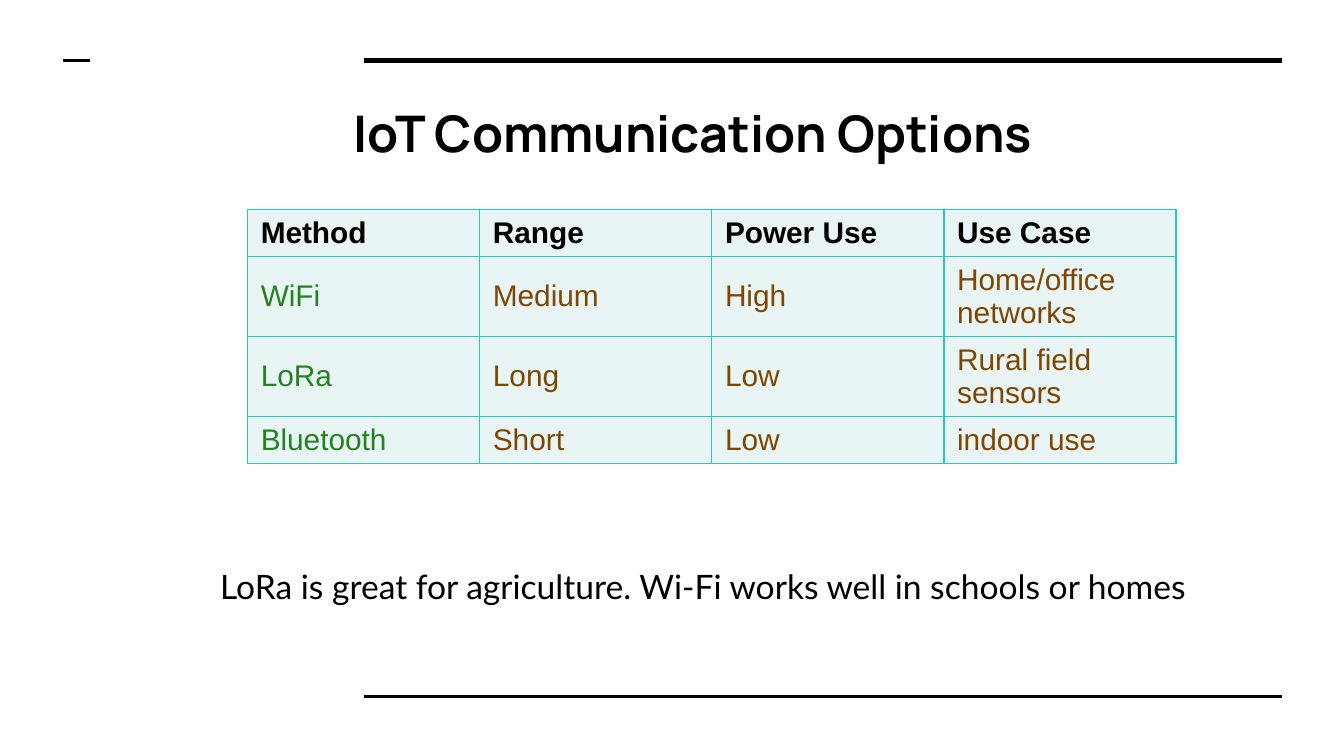
"""Build a slide comparing IoT communication options in a table."""
from lxml import etree
from pptx import Presentation, util as u
from pptx.dml.color import RGBColor
from pptx.enum import shapes, text
from pptx.oxml import ns

BLACK, GREEN, BROWN, TEAL, MINT = "000000", "258220", "7E4600", "27C7BD", "E8F5F4"


def paint(target, color):
    if hasattr(target, "solid"):
        target.solid()
        target.fore_color.rgb = RGBColor.from_string(color)
    else:
        target.color.rgb = RGBColor.from_string(color)


def write(frame, words, size, face, color, bold=False):
    frame.text = words
    paragraph = frame.paragraphs[0]
    paragraph.alignment = text.PP_ALIGN.LEFT
    font = paragraph.font
    font.size, font.name, font.bold = u.Pt(size), face, bold
    paint(font, color)


prs = Presentation()
prs.slide_width = u.Inches(10)
prs.slide_height = prs.slide_width * 9 // 16
slide = prs.slides.add_slide(prs.slide_layouts[5])
paint(slide.background.fill, "FFFFFF")

for left, right, y, weight in [(2.71, 9.54, 0.45, 3), (2.71, 9.54, 5.18, 1.5), (0.47, 0.67, 0.45, 1.5)]:
    rule = slide.shapes.add_connector(
        shapes.MSO_CONNECTOR.STRAIGHT, u.Inches(left), u.Inches(y), u.Inches(right), u.Inches(y))
    paint(rule.line, BLACK)
    rule.line.width = u.Pt(weight)
    etree.SubElement(rule._element.spPr, ns.qn("a:effectLst"))

title = slide.shapes.title
title.left, title.top, title.width, title.height = map(u.Inches, (2.53, 0.66, 6.91, 0.69))
heading = title.text_frame
heading.margin_left = heading.margin_right = heading.margin_top = heading.margin_bottom = u.Inches(0.1)
heading.vertical_anchor = text.MSO_ANCHOR.TOP
heading.auto_size = text.MSO_AUTO_SIZE.NONE
write(heading, "IoT Communication Options", 27, "Manrope", BLACK, True)

options = [
    ("Method", "Range", "Power Use", "Use Case"),
    ("WiFi", "Medium", "High", "Home/office networks"),
    ("LoRa", "Long", "Low", "Rural field sensors"),
    ("Bluetooth", "Short", "Low", "indoor use"),
]
row_heights = [0.35, 0.59, 0.59, 0.35]
table = slide.shapes.add_table(
    len(options), len(options[0]), u.Inches(1.84), u.Inches(1.56),
    u.Inches(6.91), u.Inches(sum(row_heights))).table
for r, (option, height) in enumerate(zip(options, row_heights)):
    table.rows[r].height = u.Inches(height)
    for c, words in enumerate(option):
        cell = table.cell(r, c)
        cell.vertical_anchor = text.MSO_ANCHOR.MIDDLE
        color = BLACK if r == 0 else GREEN if c == 0 else BROWN
        write(cell.text_frame, words, 16, "Arial", color, r == 0)
        properties = cell._tc.get_or_add_tcPr()
        for side in ("lnL", "lnR", "lnT", "lnB"):
            border = etree.SubElement(properties, ns.qn(f"a:{side}"), w=str(u.Pt(1)))
            border_fill = etree.SubElement(border, ns.qn("a:solidFill"))
            etree.SubElement(border_fill, ns.qn("a:srgbClr"), val=TEAL)
        paint(cell.fill, MINT)

takeaway = slide.shapes.add_textbox(*map(u.Inches, (1.54, 4.16, 7.75, 0.4))).text_frame
takeaway.word_wrap = True
takeaway.auto_size = text.MSO_AUTO_SIZE.SHAPE_TO_FIT_TEXT
write(takeaway, "LoRa is great for agriculture. Wi-Fi works well in schools or homes", 18, "Lato", BLACK)

prs.save("out.pptx")
